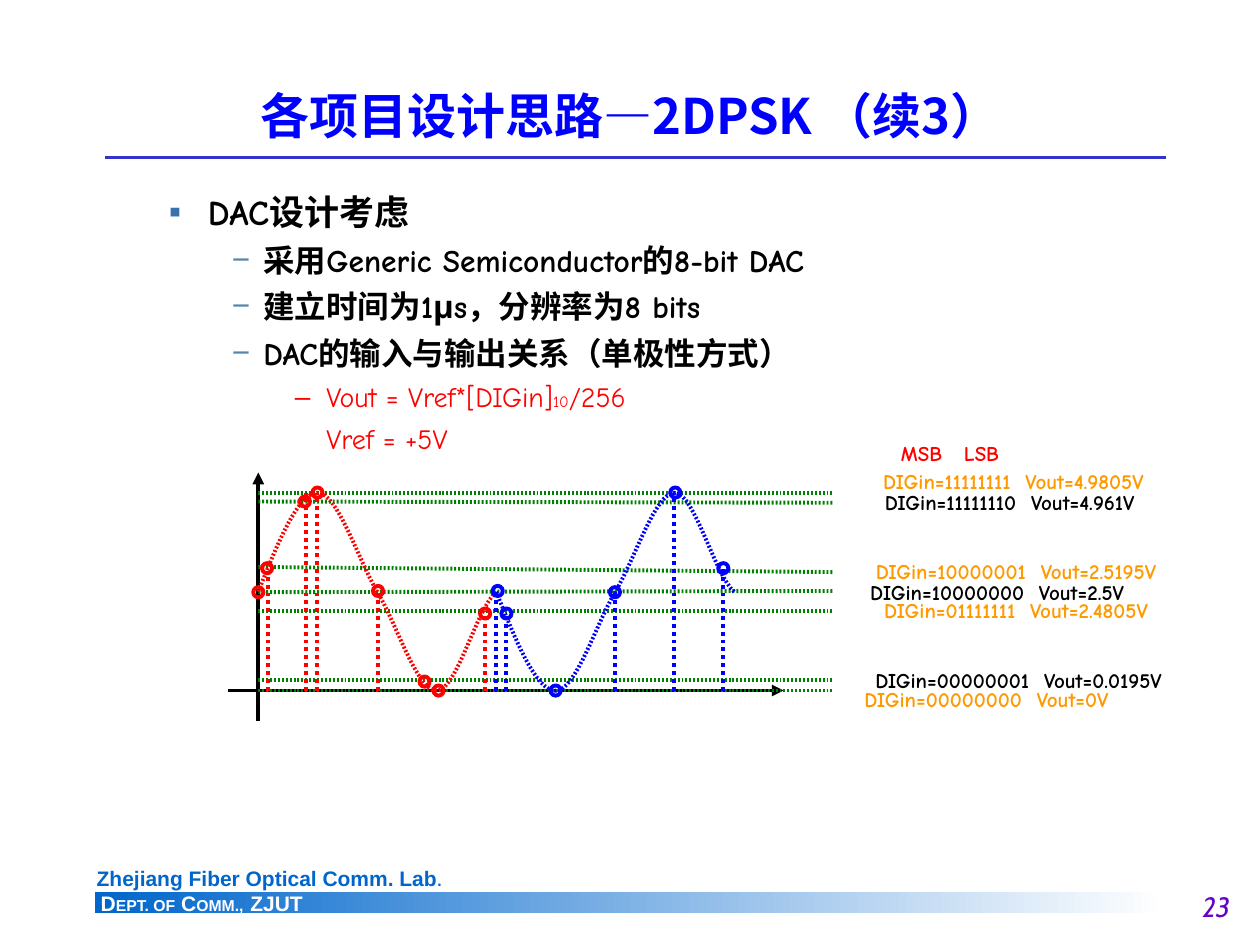
from lxml.etree import SubElement
from pptx import Presentation
from pptx.dml.color import RGBColor
from pptx.enum.dml import MSO_LINE
from pptx.enum.shapes import MSO_CONNECTOR, MSO_SHAPE
from pptx.enum.text import MSO_ANCHOR, PP_ALIGN
from pptx.oxml.ns import qn
from pptx.util import Pt

RED, BLUE, GREEN, BLACK, ORANGE = "FF0000", "0000FF", "008000", "000000", "FF9900"
COMIC, CJK = "Comic Neue", "Noto Sans CJK SC"
AXIS_X, GRID_END = 147.6, 475.9
TOP, MIDDLE, BASE = 281.5, 338.2, 394.6
PERIOD = 136

GRID_LINES = [(TOP, TOP), (286.6, 287.3), (324, 326.9), (338.4, 337.7),
              (349.2, 349.2), (388.8, 388.8), (BASE, BASE)]
RED_SAMPLES = [(147.6, 338.4), (152.6, 324.7), (174.2, 286.6), (181.4, TOP),
               (216, 337.7), (242.6, 389.5), (250.6, BASE), (277.2, 350.6)]
BLUE_SAMPLES = [(284.4, 337.7), (289.4, 350.6), (317.5, BASE), (351.4, 338.4),
                (385.9, TOP), (413.3, 324.7)]
RED_STEMS = [(153.4, 326.9), (175, TOP), (181.4, TOP), (216, 338.4), (277.2, 349.2)]
BLUE_STEMS = [(283.7, 338.4), (289.4, 350.6), (351.4, 338.4), (385.2, TOP), (413.3, 321.1)]
CODES = [
    (473, 264.2, 212.4, "DIGin=11111111  Vout=4.9805V", ORANGE),
    (470.9, 276.5, 212.4, "DIGin=11111110  Vout=4.961V", BLACK),
    (475.9, 315.4, 209.5, "DIGin=10000001  Vout=2.5195V", ORANGE),
    (465.1, 327.6, 209.5, "DIGin=10000000  Vout=2.5V", BLACK),
    (475.9, 337.7, 209.5, "DIGin=01111111  Vout=2.4805V", ORANGE),
    (475.9, 378, 212.4, "DIGin=00000001  Vout=0.0195V", BLACK),
    (475.9, 388.8, 175.7, "DIGin=00000000  Vout=0V", ORANGE),
]
BODY = [
    (0, [("DAC设计考虑", 20)], "▪", "3971AF"),
    (1, [("采用Generic Semiconductor的8-bit DAC", 18)], "−", "5486AC"),
    (1, [("建立时间为1μs，分辨率为8 bits", 18)], "−", "5486AC"),
    (1, [("DAC的输入与输出关系（单极性方式）", 18)], "−", "5486AC"),
    (2, [("Vout = Vref*[DIGin]", 16), ("10", 9), ("/256", 16)], "–", RED),
    (2, [("Vref = +5V", 16)], None, RED),
]
LEVELS = [(58.3, -22.3, 5, 24, BLACK), (90, -18, 4.5, 22, BLACK), (126, -18, 4, 20, RED)]


def rgb(value):
    """Turn a hex string into a colour."""
    return RGBColor.from_string(value)


def add_span(para, text, size, color, font=COMIC, bold=True, italic=False):
    """Append one formatted run to a paragraph."""
    span = para.add_run()
    span.text = text
    span.font.name = font
    span.font.size = Pt(size)
    span.font.bold = bold
    span.font.italic = italic
    span.font.color.rgb = rgb(color)
    SubElement(span.font._element, qn("a:ea"), typeface=CJK)


def add_box(page, left, top, width, height, wrap=True, inset=(7.2, 3.6)):
    """Add an empty text box and return its frame."""
    frame = page.shapes.add_textbox(Pt(left), Pt(top), Pt(width), Pt(height)).text_frame
    frame.word_wrap = wrap
    frame.margin_left = frame.margin_right = Pt(inset[0])
    frame.margin_top = frame.margin_bottom = Pt(inset[1])
    return frame


def add_label(page, left, top, width, height, spans, align=PP_ALIGN.LEFT, wrap=True):
    """Add a one-paragraph box from a list of run settings."""
    frame = add_box(page, left, top, width, height, wrap)
    para = frame.paragraphs[0]
    para.alignment = align
    for span in spans:
        add_span(para, *span)
    return frame


def set_line(shape, color, fine=False):
    """Give a shape a 2.25 point line, finely dotted on request."""
    shape.line.color.rgb = rgb(color)
    shape.line.width = Pt(2.25)
    if fine:
        dashes = SubElement(shape.line._get_or_add_ln(), qn("a:custDash"))
        SubElement(dashes, qn("a:ds"), d="50000", sp="50000")


def add_line(page, start, end, color, dotted=False, fine=False, arrow=None):
    """Draw a straight line, with an arrowhead tag if wanted."""
    line = page.shapes.add_connector(
        MSO_CONNECTOR.STRAIGHT, Pt(start[0]), Pt(start[1]), Pt(end[0]), Pt(end[1]))
    set_line(line, color, fine)
    if dotted:
        line.line.dash_style = MSO_LINE.ROUND_DOT
    if arrow:
        SubElement(line.line._get_or_add_ln(), qn(arrow), type="triangle")
    SubElement(line._element.spPr, qn("a:effectLst"))


def add_sample(page, center, color):
    """Draw a sample ring around a point."""
    size = 5.8
    ring = page.shapes.add_shape(MSO_SHAPE.OVAL, Pt(center[0] - size / 2),
                                 Pt(center[1] - size / 2), Pt(size), Pt(size))
    ring.shadow.inherit = False
    ring.fill.background()
    set_line(ring, color)


def bezier(controls, t):
    """Evaluate a cubic curve at t."""
    weights = ((1 - t) ** 3, 3 * t * (1 - t) ** 2, 3 * t * t * (1 - t), t ** 3)
    return sum(weight * value for weight, value in zip(weights, controls))


def add_wave(page, left, direction, color):
    """Draw one period that rises first for direction -1 and falls first for 1."""
    quarter, swing, steps = PERIOD / 4, (BASE - TOP) / 2, 16
    heights = [(0, 0.5, 1, 1), (1, 0.34, 0.34 * 0, 0), (0, -0.33, -1, -1), (-1, -0.17, 0, 0)]
    heights[1] = (1, 1, 0.34, 0)
    heights[3] = (-1, -1, -0.17, 0)
    points = []
    for index, controls in enumerate(heights):
        for step in range(1, steps + 1):
            x = left + quarter * (index + step / steps)
            y = MIDDLE + direction * swing * bezier(controls, step / steps)
            points.append((Pt(x), Pt(y)))
    builder = page.shapes.build_freeform(Pt(left), Pt(MIDDLE))
    builder.add_line_segments(points, close=False)
    wave = builder.convert_to_shape()
    wave.shadow.inherit = False
    wave.fill.background()
    set_line(wave, color, fine=True)


def add_bullet(para, mark, color):
    """Put a coloured bullet on a paragraph."""
    properties = para._p.get_or_add_pPr()
    tint = SubElement(properties, qn("a:buClr"))
    SubElement(tint, qn("a:srgbClr"), val=color)
    SubElement(properties, qn("a:buFont"), typeface="Arial")
    SubElement(properties, qn("a:buChar"), char=mark)


def add_body(page):
    """Write the three-level outline."""
    frame = add_box(page, 54, 105.8, 611.3, 367.2, inset=(6.5, 2.9))
    for index, (level, spans, mark, tint) in enumerate(BODY):
        para = frame.add_paragraph() if index else frame.paragraphs[0]
        left, indent, before, spacing, color = LEVELS[level]
        para.level = level
        properties = para._p.get_or_add_pPr()
        properties.set("marL", str(Pt(left)))
        properties.set("indent", str(Pt(indent if mark else 0)))
        if mark:
            add_bullet(para, mark, tint)
        para.line_spacing = Pt(spacing)
        if index:
            para.space_before = Pt(before)
        for text, size in spans:
            add_span(para, text, size, color, bold=level < 2)


def add_footer(page):
    """Add the laboratory name, the gradient band and the page number."""
    add_label(page, 599.8, 504.7, 110.2, 28.8,
              [("23", 16, "6600CC", "Cabin", False, True)], PP_ALIGN.RIGHT)
    add_label(page, 48.2, 491, 211.7, 21.6,
              [("Zhejiang Fiber Optical Comm. Lab", 12, "0066CC", "Arial"),
               (".", 9, "0066CC", "Arial")], wrap=False)
    band = page.shapes.add_shape(MSO_SHAPE.RECTANGLE, Pt(54), Pt(509.8), Pt(612.7), Pt(12.2))
    band.shadow.inherit = False
    band.line.fill.background()
    band.fill.gradient()
    band.fill.gradient_angle = 0
    for stop, color in zip(band.fill.gradient_stops, ("0066CC", "FFFFFF")):
        stop.color.rgb = rgb(color)
    parts = [("D", 12), ("EPT. OF", 9), (" C", 12), ("OMM.,", 9), (" ", 14), ("ZJUT", 12)]
    add_label(page, 50.4, 503.3, 131, 24.5,
              [(text, size, "FFFFFF", "Arial") for text, size in parts], wrap=False)


def add_diagram(page):
    """Draw the axes, the two waves with their samples and the level lines."""
    add_line(page, (AXIS_X, 270), (AXIS_X, 411.8), BLACK, arrow="a:headEnd")
    add_line(page, (130.3, BASE), (447.8, BASE), BLACK, arrow="a:tailEnd")
    for start, end in GRID_LINES:
        add_line(page, (AXIS_X, start), (GRID_END, end), GREEN, fine=True)
    waves = [(AXIS_X, -1, RED, RED_STEMS, RED_SAMPLES),
             (AXIS_X + PERIOD, 1, BLUE, BLUE_STEMS, BLUE_SAMPLES)]
    for left, direction, color, stems, samples in waves:
        add_wave(page, left, direction, color)
        for x, y in stems:
            add_line(page, (x, BASE), (x, y), color, dotted=True)
        for center in samples:
            add_sample(page, center, color)


def add_codes(page):
    """Label the levels with their input codes and output voltages."""
    for left, top, width, text, color in CODES:
        add_label(page, left, top, width, 21.6, [(text, 12, color)], PP_ALIGN.CENTER)
    frame = add_label(page, 501.8, 248.4, 96.5, 21.6, [("MSB\tLSB", 12, RED)])
    properties = frame.paragraphs[0]._p.get_or_add_pPr()
    properties.set("marL", str(Pt(6)))
    properties.set("indent", "0")
    tabs = SubElement(properties, qn("a:tabLst"))
    SubElement(tabs, qn("a:tab"), pos=str(Pt(55)), algn="l")


def main():
    """Build and save the slide."""
    deck = Presentation()
    deck.slide_width, deck.slide_height = Pt(720), Pt(540)
    page = deck.slides.add_slide(deck.slide_layouts[6])
    add_line(page, (59.8, 90), (666, 90), "3333CC")
    add_footer(page)
    title = add_label(page, 54, 41.8, 612, 48.2,
                      [("各项目设计思路—2DPSK （续3）", 28, BLUE, CJK)], PP_ALIGN.CENTER)
    title.vertical_anchor = MSO_ANCHOR.MIDDLE
    add_body(page)
    add_diagram(page)
    add_codes(page)
    deck.save("out.pptx")


if __name__ == "__main__":
    main()
